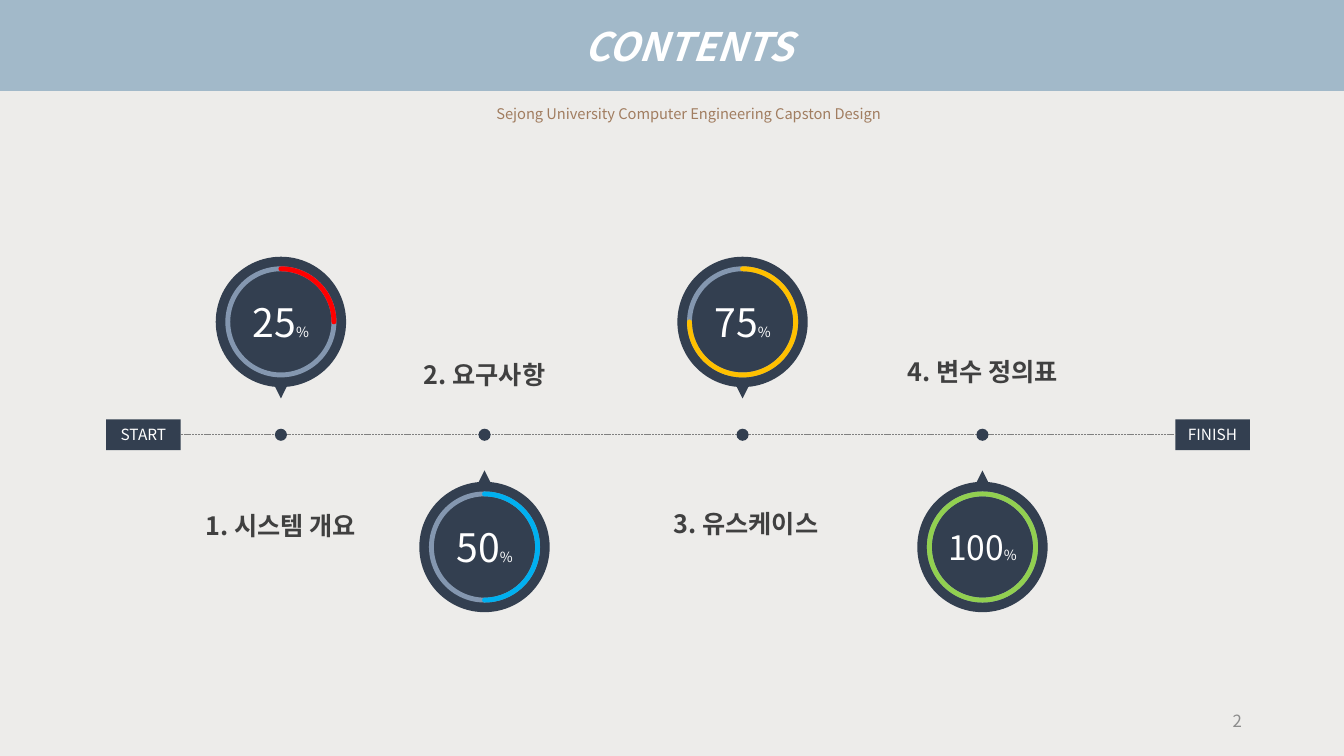
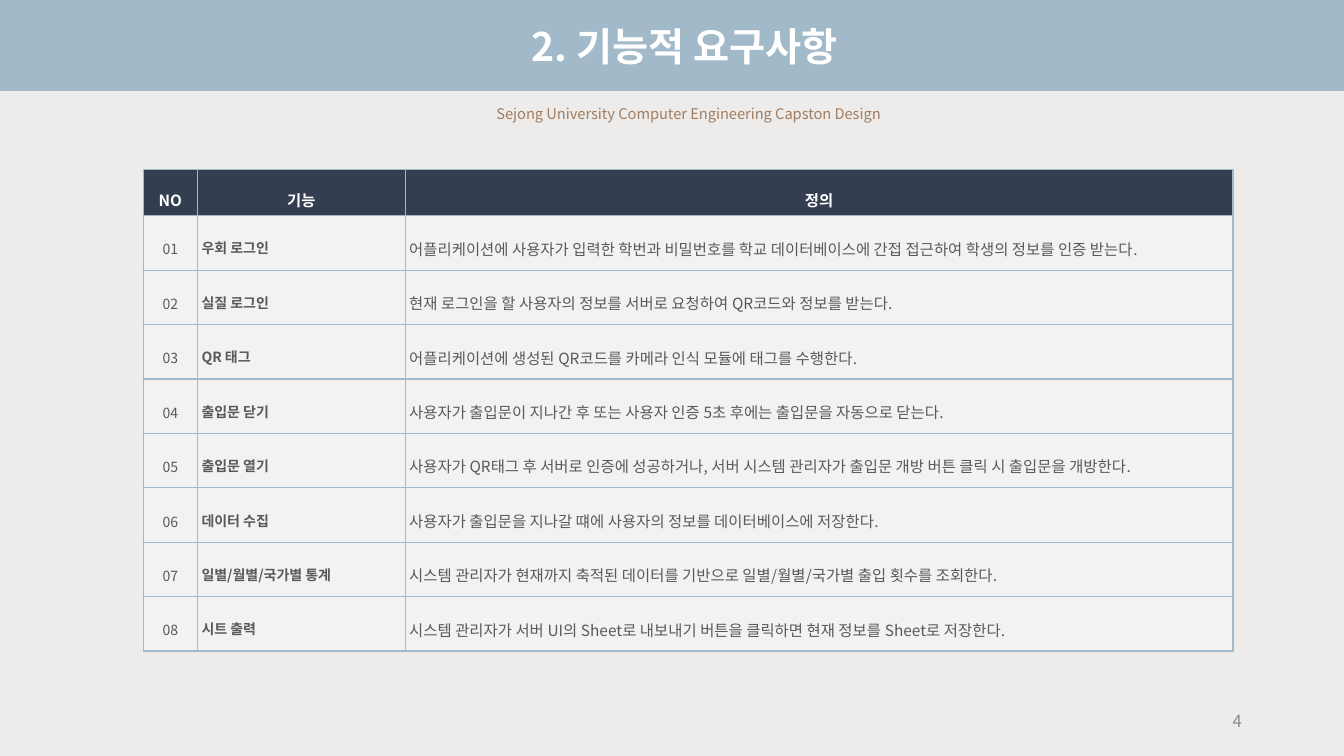
"""Build the contents timeline and the functional requirements table."""
from dataclasses import dataclass
from typing import Sequence

from lxml.etree import SubElement
from pptx import Presentation
from pptx.dml.color import RGBColor
from pptx.enum.dml import MSO_LINE
from pptx.enum.shapes import MSO_CONNECTOR, MSO_SHAPE
from pptx.enum.text import MSO_ANCHOR, MSO_AUTO_SIZE, PP_ALIGN
from pptx.oxml.ns import qn
from pptx.oxml.xmlchemy import OxmlElement
from pptx.util import Emu, Pt

EMU_PER_PX = 6096
SLIDE_WIDTH, SLIDE_HEIGHT = 2000, 1125
TITLE_ONLY = 5
NOTO, ARIAL = "Noto Sans CJK KR", "Arial"
PAPER, BAND, NAVY, WHITE = "EDECEA", "A2B9C9", "333F50", "FFFFFF"
BROWN, RING, RULE, PAGE_GRAY = "A17D60", "8497B0", "808080", "8C8C8C"
LABEL_GRAY, BODY_GRAY, CELL = "404040", "595959", "F2F2F2"
SUBTITLE = "Sejong University Computer Engineering Capston Design"

AXIS_Y, TAG_WIDTH, TAG_HEIGHT = 647, 111, 46
START_LEFT, FINISH_LEFT = 158, 1749
DISC, RING_SIZE, POINTER, POINTER_OVERLAP, DOT = 194, 158, 52, 35, 18
UPPER_TOP, LOWER_TOP = 382, 717
LABEL_WIDTH, LABEL_HEIGHT = 450, 75

TABLE_LEFT, TABLE_TOP = 213, 252
COLUMN_WIDTHS = (81, 309, 1232)
HEADER_HEIGHT, ROW_HEIGHT, CELL_INDENT = 69, 81, 6


@dataclass(frozen=True)
class TextRun:
    """A stretch of text in one format."""
    text: str
    size: float
    color: str
    bold: bool = False
    italic: bool = False
    latin: str = NOTO


@dataclass(frozen=True)
class Gauge:
    """A progress dial on the timeline and its chapter label."""
    center: int
    above: bool
    percent: int
    number_size: int
    color: str
    label: str
    label_left: int
    label_top: int


@dataclass(frozen=True)
class Requirement:
    """A table row; bars separate runs that alternate Arial and Noto."""
    name: str
    definition: str


GAUGES = (
    Gauge(418, True, 25, 28, "FF0000", "1. 시스템 개요", 193, 730),
    Gauge(721, False, 50, 28, "00B0F0", "2. 요구사항", 496, 505),
    Gauge(1105, True, 75, 28, "FFC000", "3. 유스케이스", 885, 726),
    Gauge(1462, False, 100, 24, "92D050", "4. 변수 정의표", 1237, 501),
)
HEADERS = ("|NO", "기능", "|정의")
REQUIREMENTS = (
    Requirement("우회 로그인", "어플리케이션에 사용자가 입력한 학번과 비밀번호를 학교 "
                "데이터베이스에 간접 접근하여 학생의 정보를 인증 받는다|."),
    Requirement("실질 로그인", "현재 로그인을| 할 사용자의 정보를 서버로 요청하여 QR|코드와 정보를 받는다|."),
    Requirement("|QR 태그", "어플리케이션에 생성된 |QR|코드를 카메라 인식 모듈에 태그를 수행한다|."),
    Requirement("출입문 닫기", "사용자가 출입문이 지나간 후 또는 사용자 인증 |5|초 후에는 출입문을 자동으로 닫는다|."),
    Requirement("출입문 열기", "사용자가 |QR|태그 후 서버로 인증에 성공하거나|, 서버 시스템 관리자가 "
                "출입문 개방 버튼 클릭 시 출입문을 개방한다."),
    Requirement("데이터 수집", "사용자가 출입문을 지나갈 떄에| 사용자의 정보를 데이터베이스에 저장한다."),
    Requirement("일별|/|월별|/|국가별 통계", "시스템 관리자가 현재까지 축적된 데이터를 기반으로 "
                "일별|/|월별|/|국가별 출입 횟수를 조회한다|."),
    Requirement("시트 출력", "시스템 관리자가 서버 |UI|의 |Sheet|로 내보내기 버튼을 클릭하면 "
                "현재 정보를 |Sheet|로 저장한다|."),
)


def px(length: int) -> Emu:
    """Turn pixels into EMU."""
    return Emu(length * EMU_PER_PX)


def rgb(color: str) -> RGBColor:
    """Turn a hex string into a colour."""
    return RGBColor.from_string(color)


def write_paragraph(paragraph, runs: Sequence[TextRun], align=PP_ALIGN.CENTER,
                    spacing: float = 1.0) -> None:
    """Fill a paragraph run by run."""
    paragraph.alignment = align
    paragraph.line_spacing = spacing
    for part in runs:
        run = paragraph.add_run()
        run.text = part.text
        font = run.font
        font.size = Pt(part.size)
        font.bold, font.italic = part.bold, part.italic
        font.color.rgb = rgb(part.color)
        font.name = part.latin
        SubElement(run._r.get_or_add_rPr(), qn("a:ea")).set("typeface", NOTO)


def alternate_runs(text: str, size: float, color: str, bold: bool) -> list[TextRun]:
    """Split text at bars into runs that alternate between the two fonts."""
    return [TextRun(part, size, color, bold, latin=(ARIAL, NOTO)[index % 2])
            for index, part in enumerate(text.split("|")) if part]


def add_text(slide, left: int, top: int, width: int, height: int, run: TextRun,
             align=PP_ALIGN.CENTER, spacing: float = 1.0, anchor=MSO_ANCHOR.TOP) -> None:
    """Add a wrapping text box with one paragraph."""
    frame = slide.shapes.add_textbox(px(left), px(top), px(width), px(height)).text_frame
    frame.word_wrap = True
    frame.vertical_anchor = anchor
    write_paragraph(frame.paragraphs[0], [run], align, spacing)


def add_figure(shapes, kind, left: int, top: int, width: int, height: int,
               fill: str | None = None, outline: str | None = None,
               runs: Sequence[TextRun] = ()):
    """Add a preset shape with an optional fill, outline and text."""
    shape = shapes.add_shape(kind, px(left), px(top), px(width), px(height))
    shape.shadow.inherit = False
    if fill:
        shape.fill.solid()
        shape.fill.fore_color.rgb = rgb(fill)
    else:
        shape.fill.background()
    if outline:
        shape.line.color.rgb = rgb(outline)
        shape.line.width = Pt(3.5)
    else:
        shape.line.fill.background()
    if runs:
        frame = shape.text_frame
        frame.margin_left = frame.margin_right = 0
        frame.vertical_anchor = MSO_ANCHOR.MIDDLE
        write_paragraph(frame.paragraphs[0], runs)
    return shape


def set_background(presentation) -> None:
    """Give the master a paper ground with a hard-edged band on top."""
    fill = presentation.slide_master.background.fill
    fill.gradient()
    fill.gradient_angle = 90
    for stop, color in zip(fill.gradient_stops, (PAPER, BAND)):
        stop.position = 0.88
        stop.color.rgb = rgb(color)


def add_titled_slide(presentation, title: str, page: int, italic: bool = False):
    """Add a slide with title, subtitle and page number."""
    slide = presentation.slides.add_slide(presentation.slide_layouts[TITLE_ONLY])
    placeholder = slide.shapes.title
    placeholder.left, placeholder.top = px(444), px(26)
    placeholder.width, placeholder.height = px(1162), px(150)
    frame = placeholder.text_frame
    frame.word_wrap = True
    frame.auto_size = MSO_AUTO_SIZE.NONE
    frame.vertical_anchor = MSO_ANCHOR.TOP
    write_paragraph(frame.paragraphs[0], [TextRun(title, 28, WHITE, True, italic)])
    write_paragraph(frame.add_paragraph(), [TextRun(SUBTITLE, 10.5, BROWN)], spacing=3.0)
    add_text(slide, 1413, 1042, 450, 60, TextRun(str(page), 12, PAGE_GRAY),
             PP_ALIGN.RIGHT, anchor=MSO_ANCHOR.MIDDLE)
    return slide


def add_axis(slide) -> None:
    """Draw the start and finish tags and the dashed line between them."""
    start, finish = (
        add_figure(slide.shapes, MSO_SHAPE.RECTANGLE, left, AXIS_Y - TAG_HEIGHT // 2,
                   TAG_WIDTH, TAG_HEIGHT, NAVY, runs=[TextRun(text, 11, WHITE)])
        for left, text in ((START_LEFT, "START"), (FINISH_LEFT, "FINISH")))
    axis = slide.shapes.add_connector(
        MSO_CONNECTOR.STRAIGHT, px(START_LEFT + TAG_WIDTH), px(AXIS_Y),
        px(FINISH_LEFT), px(AXIS_Y))
    axis.begin_connect(start, 3)
    axis.end_connect(finish, 1)
    axis.line.color.rgb = rgb(RULE)
    axis.line.width = Pt(0.5)
    axis.line.dash_style = MSO_LINE.SQUARE_DOT
    SubElement(axis._element.spPr, qn("a:effectLst"))


def add_gauge(slide, gauge: Gauge) -> None:
    """Draw a dial with its pointer, axis dot and label."""
    shapes = slide.shapes.add_group_shape().shapes
    top = UPPER_TOP if gauge.above else LOWER_TOP
    add_figure(shapes, MSO_SHAPE.OVAL, gauge.center - DISC // 2, top, DISC, DISC, NAVY,
               runs=[TextRun(str(gauge.percent), gauge.number_size, WHITE),
                     TextRun("%", 10, WHITE)])
    pointer_top = (top + DISC - POINTER_OVERLAP if gauge.above
                   else top - POINTER + POINTER_OVERLAP)
    pointer = add_figure(shapes, MSO_SHAPE.ISOSCELES_TRIANGLE, gauge.center - POINTER // 2,
                         pointer_top, POINTER, POINTER, NAVY)
    pointer.rotation = 180 if gauge.above else 0
    ring_box = (gauge.center - RING_SIZE // 2, top + (DISC - RING_SIZE) // 2,
                RING_SIZE, RING_SIZE)
    add_figure(shapes, MSO_SHAPE.OVAL, *ring_box, outline=RING)
    arc = add_figure(shapes, MSO_SHAPE.ARC, *ring_box, outline=gauge.color)
    sweep = min(gauge.percent * 3.6, 358.7)
    arc.adjustments[0] = 270 * 0.6
    arc.adjustments[1] = (270 + sweep) % 360 * 0.6
    arc.line._get_or_add_ln().set("cap", "rnd")
    add_figure(slide.shapes, MSO_SHAPE.OVAL, gauge.center - DOT // 2, AXIS_Y - DOT // 2,
               DOT, DOT, NAVY)
    add_text(slide, gauge.label_left, gauge.label_top, LABEL_WIDTH, LABEL_HEIGHT,
             TextRun(gauge.label, 18, LABEL_GRAY, True), spacing=1.5)


def set_borders(cell) -> None:
    """Draw a thin line on all four sides of a cell."""
    properties = cell._tc.get_or_add_tcPr()
    for position, side in enumerate(("a:lnL", "a:lnR", "a:lnT", "a:lnB")):
        border = OxmlElement(side)
        border.set("w", str(Pt(1)))
        SubElement(SubElement(border, qn("a:solidFill")), qn("a:srgbClr")).set("val", BAND)
        properties.insert(position, border)


def fill_cell(cell, runs: Sequence[TextRun], fill: str, align, spacing: float) -> None:
    """Format a cell and write its text."""
    cell.margin_left = px(CELL_INDENT) if align == PP_ALIGN.LEFT else 0
    cell.margin_right = cell.margin_top = cell.margin_bottom = 0
    cell.vertical_anchor = MSO_ANCHOR.MIDDLE
    cell.fill.solid()
    cell.fill.fore_color.rgb = rgb(fill)
    set_borders(cell)
    write_paragraph(cell.text_frame.paragraphs[0], runs, align, spacing)


def add_requirements(slide) -> None:
    """Add the table of requirements."""
    heights = [HEADER_HEIGHT] + [ROW_HEIGHT] * len(REQUIREMENTS)
    table = slide.shapes.add_table(
        len(heights), len(COLUMN_WIDTHS), px(TABLE_LEFT), px(TABLE_TOP),
        px(sum(COLUMN_WIDTHS)), px(sum(heights))).table
    for column, width in zip(table.columns, COLUMN_WIDTHS):
        column.width = px(width)
    for row, height in zip(table.rows, heights):
        row.height = px(height)
    for column, header in enumerate(HEADERS):
        fill_cell(table.cell(0, column), alternate_runs(header, 11, WHITE, True),
                  NAVY, PP_ALIGN.CENTER, 1.6)
    for number, requirement in enumerate(REQUIREMENTS, 1):
        fields = (
            (f"|{number:02d}", 10, False, PP_ALIGN.CENTER, 1.6),
            (requirement.name, 10, True, PP_ALIGN.LEFT, 1.5),
            (requirement.definition, 11, False, PP_ALIGN.LEFT, 1.5),
        )
        for column, (text, size, bold, align, spacing) in enumerate(fields):
            fill_cell(table.cell(number, column),
                      alternate_runs(text, size, BODY_GRAY, bold), CELL, align, spacing)


def main() -> None:
    """Build and save the presentation."""
    presentation = Presentation()
    presentation.slide_width, presentation.slide_height = px(SLIDE_WIDTH), px(SLIDE_HEIGHT)
    set_background(presentation)
    contents = add_titled_slide(presentation, "CONTENTS", 2, italic=True)
    add_axis(contents)
    for gauge in GAUGES:
        add_gauge(contents, gauge)
    add_requirements(add_titled_slide(presentation, "2. 기능적 요구사항 ", 4))
    presentation.save("out.pptx")


if __name__ == "__main__":
    main()
